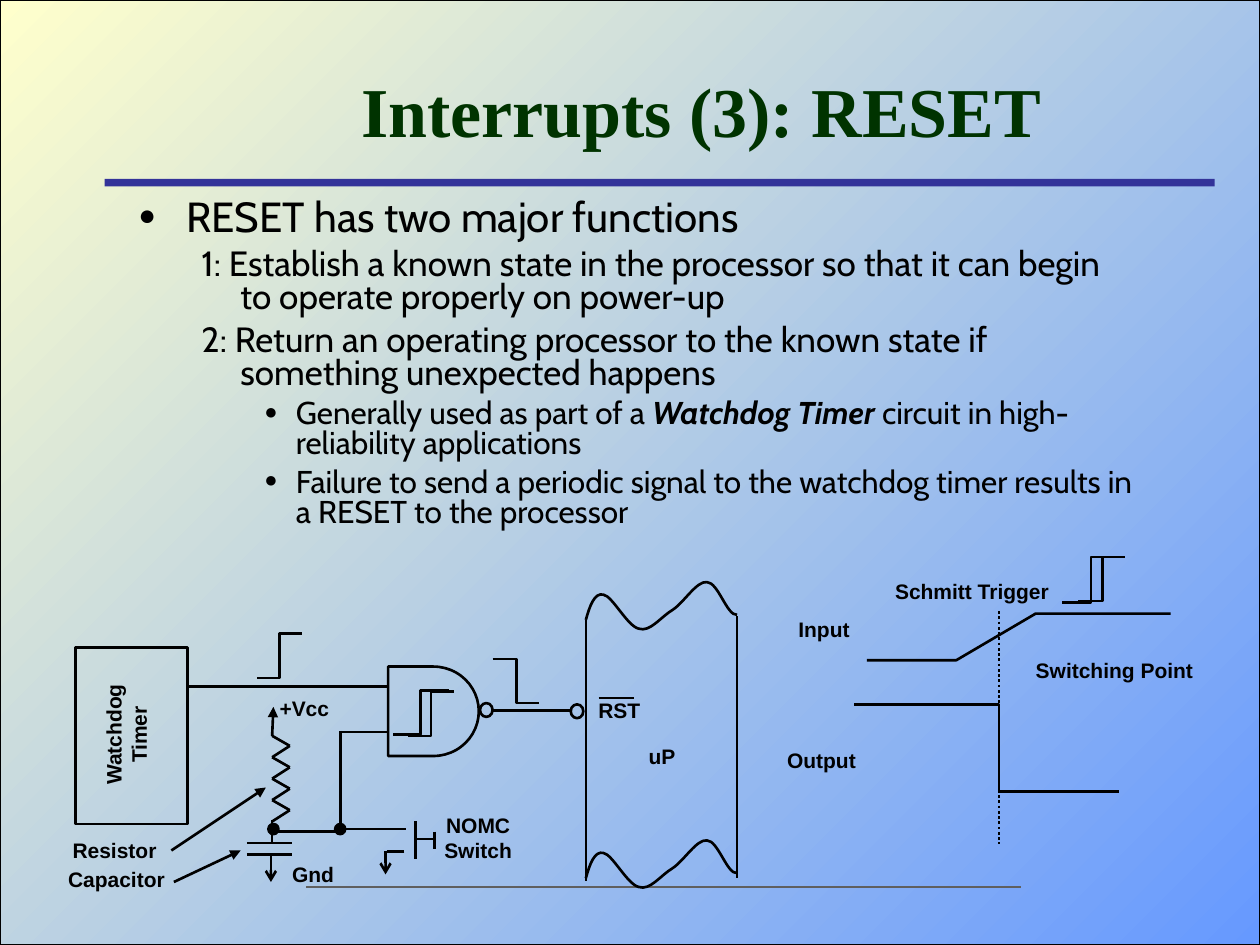
from dataclasses import dataclass
from itertools import pairwise

from lxml import etree
from pptx import Presentation
from pptx.dml.color import RGBColor
from pptx.enum.dml import MSO_LINE
from pptx.enum.shapes import MSO_CONNECTOR, MSO_SHAPE
from pptx.enum.text import MSO_ANCHOR, PP_ALIGN
from pptx.oxml.ns import qn
from pptx.util import Pt

SCALE = 9144
RECT = MSO_SHAPE.RECTANGLE
OVAL = MSO_SHAPE.OVAL
DELAY = MSO_SHAPE.FLOWCHART_DELAY
STRAIGHT = MSO_CONNECTOR.STRAIGHT
DOTTED = MSO_LINE.ROUND_DOT
MIDDLE = MSO_ANCHOR.MIDDLE
TOP = MSO_ANCHOR.TOP
CENTER = PP_ALIGN.CENTER
LEFT = PP_ALIGN.LEFT


@dataclass(frozen=True)
class Theme:
    ink: str = "000000"
    head: str = "003300"
    bar: str = "333399"
    rule: str = "5F5F5F"
    blue: str = "6699FF"
    cream: str = "FFFFCC"
    serif: str = "Times New Roman"
    sans: str = "Cabin"
    label: str = "Arial"
    title: int = 40
    levels: tuple = (24, 20, 18)
    small: int = 12
    stroke: float = 1.5


THEME = Theme()

LEVELS = (
    dict(margin=38, hang=-38, before=0, dot=True),
    dict(margin=81, hang=-31, before=5, dot=False),
    dict(margin=125, hang=-25, before=4.5, dot=True),
)

BODY = (
    (0, (("RESET has two major functions", False),)),
    (1, (("1: Establish a known state in the processor so that it can begin "
          "to operate properly on power-up", False),)),
    (1, (("2: Return an operating processor to the known state if "
          "something unexpected happens", False),)),
    (2, (("Generally used as part of a ", False), ("Watchdog Timer ", True),
         ("circuit in high-reliability applications", False))),
    (2, (("Failure to send a periodic signal to the watchdog timer results in "
          "a RESET to the processor", False),)),
)

LABELS = (
    ("RST", 465, 549, 53, 30), ("Resistor", 48, 660, 86, 30),
    ("+Vcc", 212, 547, 59, 30), ("Gnd", 222, 679, 53, 30),
    ("Capacitor", 44, 683, 97, 30), ("NOMC\nSwitch", 343, 640, 73, 50),
    ("Schmitt Trigger", 700, 454, 143, 30), ("Input", 624, 484, 60, 30),
    ("Output", 615, 588, 74, 30), ("Switching Point", 812, 517, 145, 30),
    ("uP", 505, 585, 41, 30),
)

WIRES = (
    (216, 651, 216, 670), (465, 492, 465, 699), (585, 489, 585, 697),
    (475, 554, 503, 554), (307, 545, 148, 545), (307, 581, 269, 581),
    (453, 564, 391, 564), (270, 580, 270, 661), (196, 669, 232, 669),
    (196, 678, 232, 678), (216, 660, 270, 660), (268, 658, 322, 658),
    (321, 676, 307, 676), (330, 652, 330, 682), (346, 666, 331, 666),
    (345, 660, 345, 674),
)

ARROWS = (
    ((216, 584, 217, 561), "triangle"), ((138, 700, 191, 675), "triangle"),
    ((136, 675, 211, 625), "triangle"), ((215, 678, 215, 700), "arrow"),
    ((306, 675, 306, 694), "arrow"),
)

STEPS = (
    (312, 583, 44, 35), (324, 584, 36, 35), (204, 538, 36, 35),
    (391, 523, 37, -35), (843, 478, 45, 36), (856, 477, 37, 35),
)

CURVE = (
    (0, 31), (3, 20), (7, 9), (14, 11), (21, 12), (33, 36), (42, 38),
    (51, 41), (59, 29), (69, 23), (78, 17), (88, 0), (96, 1),
    (105, 1), (112, 28), (120, 27),
)


def px(*sizes):
    return [size * SCALE for size in sizes]


def rgb(code):
    return RGBColor.from_string(code)


def pen(line, color=THEME.ink, width=THEME.stroke):
    line.color.rgb = rgb(color)
    line.width = Pt(width)


def shape(slide, kind, box, fill=None, edge=THEME.ink):
    item = slide.shapes.add_shape(kind, *px(*box))
    item.shadow.inherit = False
    if fill:
        item.fill.solid()
        item.fill.fore_color.rgb = rgb(fill)
    else:
        item.fill.background()
    if edge:
        pen(item.line, edge)
    else:
        item.line.fill.background()
    return item


def wire(slide, ends, tail=None, dash=None, color=THEME.ink):
    item = slide.shapes.add_connector(STRAIGHT, *px(*ends))
    pen(item.line, color)
    if dash:
        item.line.dash_style = dash
    if tail:
        etree.SubElement(item.line._get_or_add_ln(), qn("a:tailEnd"), type=tail)
    etree.SubElement(item._element.spPr, qn("a:effectLst"))


def trace(slide, points):
    maker = slide.shapes.build_freeform(*points[0], scale=SCALE)
    maker.add_line_segments(points[1:], close=False)
    item = maker.convert_to_shape()
    item.shadow.inherit = False
    item.fill.background()
    pen(item.line)
    return item


def step(slide, x, y, wide, rise):
    mid = x + (wide + 1) // 2
    trace(slide, [(x, y), (mid, y), (mid, y - rise), (x + wide, y - rise)])


def wave(slide, x, y):
    item = trace(slide, [(x + dx, y + dy) for dx, dy in CURVE])
    parts = item._element.xpath(".//a:lnTo")
    for first, *rest in zip(parts[::3], parts[1::3], parts[2::3]):
        first.tag = qn("a:cubicBezTo")
        for part in rest:
            first.append(part[0])
            part.getparent().remove(part)


def frame(slide, box, anchor, wrap):
    item = slide.shapes.add_textbox(*px(*box))
    item.text_frame.word_wrap = wrap
    item.text_frame.vertical_anchor = anchor
    return item


def write(para, text, face, size, color=THEME.ink, bold=False, slant=False):
    run = para.add_run()
    run.text = text
    font = run.font
    font.name, font.size = face, Pt(size)
    font.bold, font.italic = bold, slant
    font.color.rgb = rgb(color)


def label(slide, text, *box, turn=0):
    item = frame(slide, box, MIDDLE, False)
    item.rotation = turn
    item.text_frame.margin_left = item.text_frame.margin_right = 0
    for row, line in enumerate(text.split("\n")):
        para = item.text_frame.add_paragraph() if row else item.text_frame.paragraphs[0]
        para.alignment = CENTER
        write(para, line, THEME.label, THEME.small, bold=True)


def indent(para, margin, hang, before, dot):
    props = para._p.get_or_add_pPr()
    props.set("marL", str(margin * SCALE))
    props.set("indent", str(hang * SCALE))
    if dot:
        color = etree.SubElement(props, qn("a:buClr"))
        etree.SubElement(color, qn("a:srgbClr"), val=THEME.ink)
        etree.SubElement(props, qn("a:buSzPct"), val="70000")
        etree.SubElement(props, qn("a:buFont"), typeface=THEME.label)
        etree.SubElement(props, qn("a:buChar"), char="●")
    else:
        etree.SubElement(props, qn("a:buNone"))
    para.alignment = LEFT
    para.line_spacing = 0.8
    para.space_before = Pt(before)


def body(slide):
    text = frame(slide, (100, 154, 811, 275), TOP, True).text_frame
    for row, (level, runs) in enumerate(BODY):
        para = text.add_paragraph() if row else text.paragraphs[0]
        para.level = level
        indent(para, **LEVELS[level])
        for words, strong in runs:
            write(para, words, THEME.sans, THEME.levels[level], bold=strong, slant=strong)


def base(slide):
    back = shape(slide, RECT, (0, 0, 1000, 750))
    back.line.width = Pt(0.75)
    back.fill.gradient()
    back.fill.gradient_angle = 135
    for stop, color in zip(back.fill.gradient_stops, (THEME.blue, THEME.cream)):
        stop.color.rgb = rgb(color)
    shape(slide, RECT, (83, 142, 881, 6), THEME.bar, None)
    wire(slide, (243, 704, 810, 704), color=THEME.rule)
    para = frame(slide, (146, 33, 821, 108), MIDDLE, True).text_frame.paragraphs[0]
    para.alignment = CENTER
    write(para, "Interrupts (3): RESET", THEME.serif, THEME.title, THEME.head, True)


def circuit(slide):
    shape(slide, RECT, (60, 514, 89, 140))
    shape(slide, DELAY, (308, 529, 72, 71))
    for x, y in ((453, 559), (381, 558)):
        shape(slide, OVAL, (x, y, 10, 11))
    for x in (213, 266):
        shape(slide, OVAL, (x, 654, 8, 8), THEME.ink)
    for y in (461, 666):
        wave(slide, 465, y)
    for ends in WIRES:
        wire(slide, ends)
    for ends, tail in ARROWS:
        wire(slide, ends, tail)
    zigzag = [(230 if turn % 2 else 216, 584 + turn * 17 // 2) for turn in range(9)]
    for start, end in pairwise(zigzag):
        wire(slide, start + end)
    label(slide, "Watchdog\nTimer", 50, 558, 100, 50, turn=270)


def signals(slide):
    for part in STEPS:
        step(slide, *part)
    trace(slide, [(688, 524), (759, 524), (822, 487), (929, 487)])
    trace(slide, [(678, 559), (793, 559), (793, 628), (888, 628)])
    wire(slide, (793, 485, 793, 670), dash=DOTTED)


def main():
    deck = Presentation()
    deck.slide_width, deck.slide_height = px(1000, 750)
    slide = deck.slides.add_slide(deck.slide_layouts[6])
    base(slide)
    body(slide)
    circuit(slide)
    signals(slide)
    for part in LABELS:
        label(slide, *part)
    deck.save("out.pptx")


if __name__ == "__main__":
    main()
